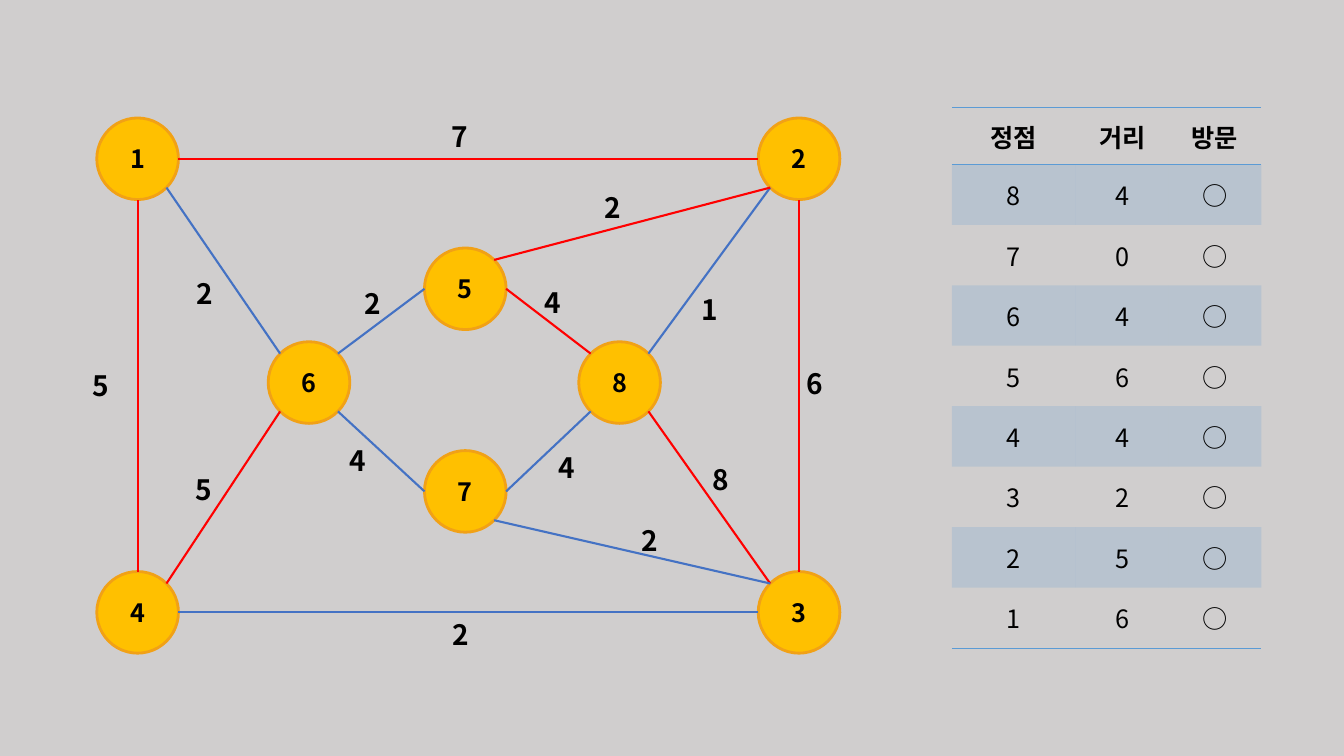
from lxml import etree
from pptx import Presentation
from pptx.dml.color import RGBColor
from pptx.enum.shapes import MSO_CONNECTOR, MSO_SHAPE
from pptx.enum.text import MSO_ANCHOR, MSO_AUTO_SIZE, PP_ALIGN
from pptx.oxml.ns import qn
from pptx.util import Emu, Pt

STRAIGHT = MSO_CONNECTOR.STRAIGHT
OVAL = MSO_SHAPE.OVAL
MIDDLE = MSO_ANCHOR.MIDDLE
CENTER = PP_ALIGN.CENTER
FIT_SHAPE = MSO_AUTO_SIZE.SHAPE_TO_FIT_TEXT

EMU_PER_PX = 9144  # 100 px to the inch
FONT = "Noto Sans CJK KR"
NO_STYLE_NO_GRID = "{2D5ABB26-0587-4C30-8999-92F81FD0307C}"
COLORS = {
    "background": "D0CECE", "text": "000000", "node": "FFC000", "node_line": "F1A116",
    "red": "FF0000", "blue": "4472C4", "table": "5B9BD5",
}

# Left and top of each node
DIAMETER = 81
NODES = {
    "1": (96, 117), "2": (752, 117), "4": (96, 567), "3": (752, 567),
    "5": (421, 246), "7": (421, 447), "8": (574, 339), "6": (266, 339),
}

# From node, side; to node, side; colour; weight; left and top of the weight
EDGES = [
    ("1", "E", "2", "W", "red", "7", (438, 114)),
    ("1", "SE", "6", "NW", "blue", "2", (185, 269)),
    ("4", "NE", "6", "SW", "red", "5", (184, 464)),
    ("4", "N", "1", "S", "red", "5", (82, 361)),
    ("4", "E", "3", "W", "blue", "2", (439, 608)),
    ("6", "SE", "7", "W", "blue", "4", (337, 435)),
    ("6", "NE", "5", "W", "blue", "2", (352, 279)),
    ("5", "E", "8", "NW", "red", "4", (530, 278)),
    ("8", "SE", "3", "NW", "red", "8", (697, 454)),
    ("8", "NE", "2", "SW", "blue", "1", (686, 285)),
    ("3", "N", "2", "S", "red", "6", (790, 359)),
    ("7", "E", "8", "SW", "blue", "4", (544, 442)),
    ("5", "NE", "2", "SW", "red", "2", (590, 184)),
    ("7", "SE", "3", "NW", "blue", "2", (626, 514)),
]
WEIGHT_SIZE = (36, 44)

DISTANCES = [
    ("정점", "거리", "방문"),
    ("8", "4", "○"), ("7", "0", "○"), ("6", "4", "○"), ("5", "6", "○"),
    ("4", "4", "○"), ("3", "2", "○"), ("2", "5", "○"), ("1", "6", "○"),
]
TABLE_AT = (944, 107)
COLUMN_WIDTHS = (123, 92, 92)
HEADER_HEIGHT, ROW_HEIGHT = 56, 60


def px(*lengths):
    return [Emu(round(length * EMU_PER_PX)) for length in lengths]


def rgb(name):
    return RGBColor.from_string(COLORS[name])


def write(frame, text, size, bold=True, align=None):
    frame.text = text
    paragraph = frame.paragraphs[0]
    paragraph.alignment = align
    font = paragraph.font
    font.size, font.bold, font.name = Pt(size), bold, FONT
    font.color.rgb = rgb("text")
    # Hangul and symbols take the East Asian typeface
    defaults = paragraph._p.pPr.find(qn("a:defRPr"))
    etree.SubElement(defaults, qn("a:ea"), typeface=FONT)


def port(node, side):
    """Point on the node's rim in a compass direction."""
    left, top = NODES[node]
    dx = ("E" in side) - ("W" in side)
    dy = ("S" in side) - ("N" in side)
    reach = DIAMETER / 2 / (dx * dx + dy * dy) ** 0.5
    return left + DIAMETER / 2 + dx * reach, top + DIAMETER / 2 + dy * reach


def add_node(shapes, number, place):
    node = shapes.add_shape(OVAL, *px(*place, DIAMETER, DIAMETER))
    node.shadow.inherit = False
    node.fill.solid()
    node.fill.fore_color.rgb = rgb("node")
    node.line.color.rgb = rgb("node_line")
    node.line.width = Pt(2)
    node.text_frame.vertical_anchor = MIDDLE
    write(node.text_frame, number, 18, align=CENTER)


def add_edge(shapes, start, end, color):
    edge = shapes.add_connector(STRAIGHT, *px(*start, *end))
    edge.line.color.rgb = rgb(color)
    edge.line.width = Pt(1.5)
    etree.SubElement(edge._element.spPr, qn("a:effectLst"))


def add_weight(shapes, weight, place):
    label = shapes.add_textbox(*px(*place, *WEIGHT_SIZE)).text_frame
    label.word_wrap = False
    label.auto_size = FIT_SHAPE
    write(label, weight, 20)


def add_border(cell, side):
    border = etree.SubElement(cell._tc.get_or_add_tcPr(), qn(f"a:ln{side}"), w=str(Pt(1)))
    fill = etree.SubElement(border, qn("a:solidFill"))
    etree.SubElement(fill, qn("a:srgbClr"), val=COLORS["table"])


def shade(cell, banded):
    if not banded:
        cell.fill.background()
        return
    cell.fill.solid()
    cell.fill.fore_color.rgb = rgb("table")
    color = cell._tc.tcPr.find(qn("a:solidFill"))[0]
    etree.SubElement(color, qn("a:alpha"), val="20000")


def add_distances(shapes):
    last = len(DISTANCES) - 1
    height = HEADER_HEIGHT + last * ROW_HEIGHT
    frame = shapes.add_table(len(DISTANCES), len(COLUMN_WIDTHS),
                             *px(*TABLE_AT, sum(COLUMN_WIDTHS), height))
    table = frame.table
    table.horz_banding = False
    table._tbl.tblPr.find(qn("a:tableStyleId")).text = NO_STYLE_NO_GRID
    for column, width in zip(table.columns, px(*COLUMN_WIDTHS)):
        column.width = width
    for r, values in enumerate(DISTANCES):
        table.rows[r].height = px(ROW_HEIGHT if r else HEADER_HEIGHT)[0]
        sides = {0: "TB", last: "B"}.get(r, "")
        for c, value in enumerate(values):
            cell = table.cell(r, c)
            cell.vertical_anchor = MIDDLE
            write(cell.text_frame, value, 18, bold=r == 0, align=CENTER)
            for side in sides:
                add_border(cell, side)
            shade(cell, banded=r % 2 == 1)


def main():
    deck = Presentation()
    deck.slide_width, deck.slide_height = px(1333, 750)
    slide = deck.slides.add_slide(deck.slide_layouts[6])
    slide.background.fill.solid()
    slide.background.fill.fore_color.rgb = rgb("background")

    add_distances(slide.shapes)
    for number, place in NODES.items():
        add_node(slide.shapes, number, place)
    for start, start_side, end, end_side, color, weight, place in EDGES:
        add_edge(slide.shapes, port(start, start_side), port(end, end_side), color)
        add_weight(slide.shapes, weight, place)
    deck.save("out.pptx")


if __name__ == "__main__":
    main()
